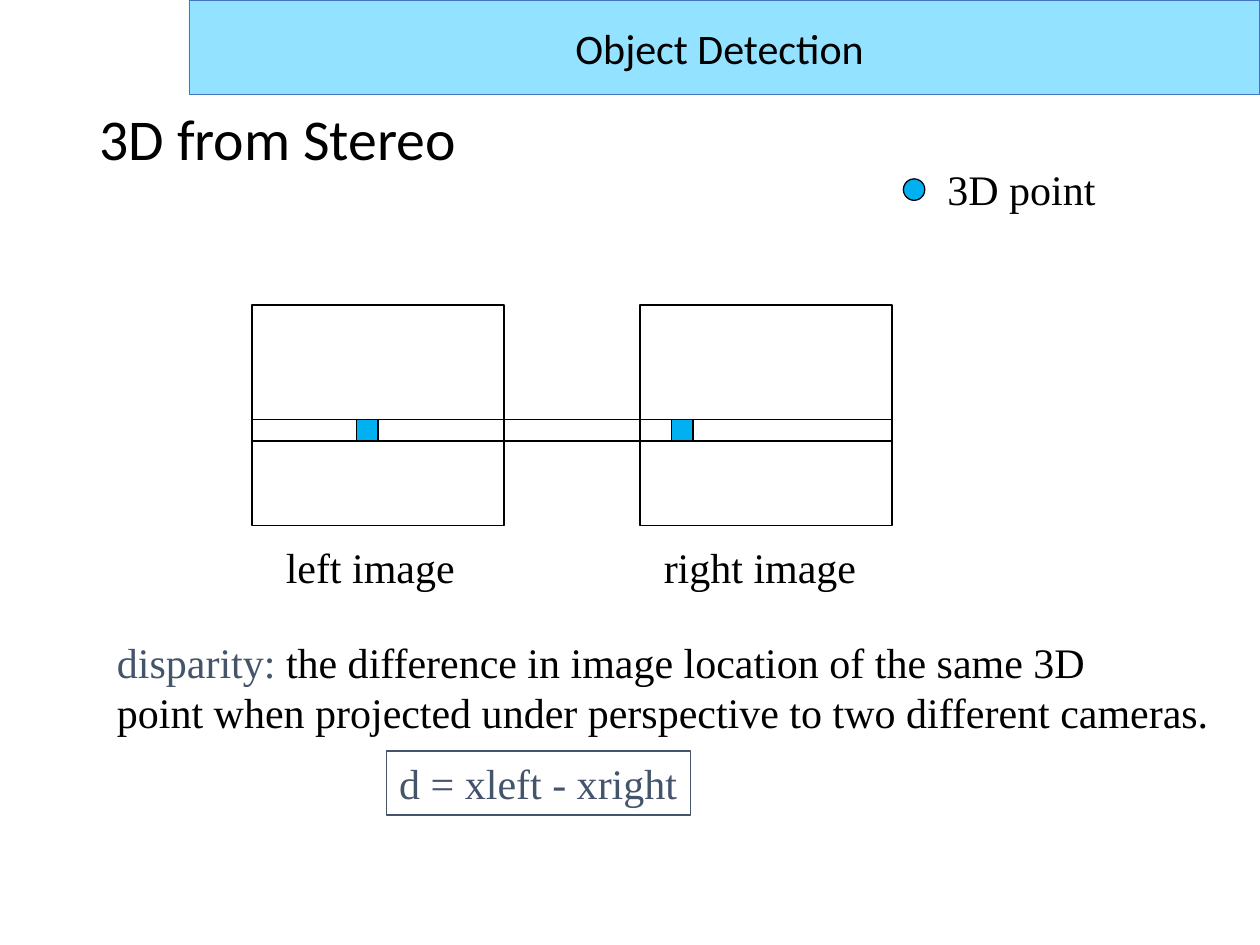
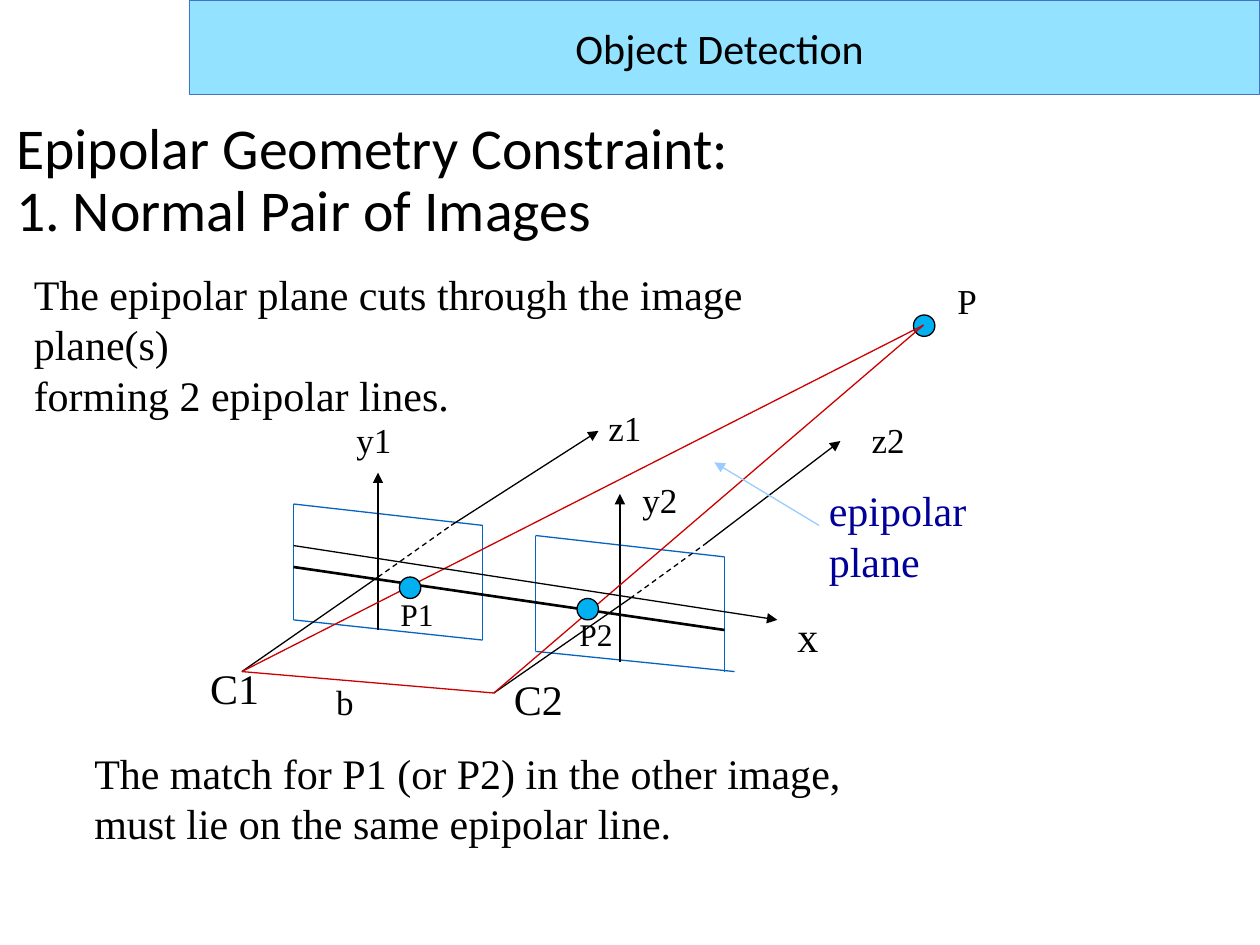
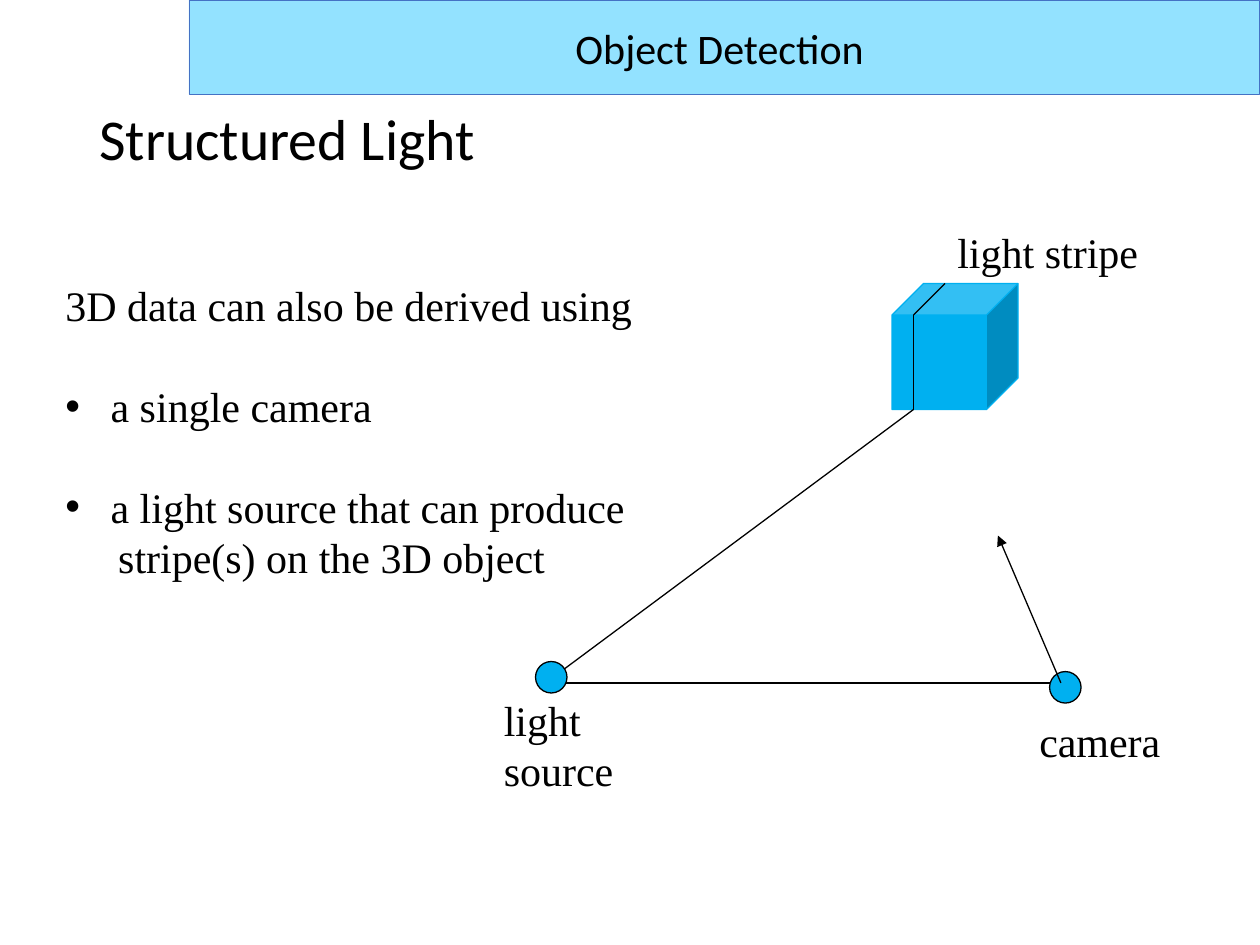
from dataclasses import dataclass

import pptx
import pptx.dml.color
import pptx.enum.dml
import pptx.enum.shapes
import pptx.enum.text
import pptx.oxml.ns
import pptx.presentation
import pptx.shapes.autoshape
import pptx.slide
import pptx.text.text
import pptx.util
from lxml import etree

Inches = pptx.util.Inches
Pt = pptx.util.Pt
Shapes = pptx.enum.shapes.MSO_SHAPE
Slide = pptx.slide.Slide
Point = tuple[float, float]


@dataclass(frozen=True)
class Theme:
    heading_font: str = "Calibri"
    body_font: str = "Times New Roman"
    black: str = "000000"
    slate: str = "44546A"
    navy: str = "000099"
    band: str = "93E2FF"
    band_edge: str = "4472C4"
    marker: str = "00B0F0"
    image_plane: str = "0563C1"
    ray: str = "CC0000"
    pointer: str = "99CCFF"
    title_size: float = 33
    body_size: float = 24
    axis_size: float = 20
    point_size: float = 18
    thin: float = 0.75


THEME = Theme()


@dataclass(frozen=True)
class Label:
    text: str
    left: float
    top: float
    width: float
    size: float = THEME.body_size
    color: str = THEME.black


@dataclass(frozen=True)
class Stroke:
    start: Point
    end: Point
    color: str = THEME.black
    weight: float = THEME.thin
    dashed: bool = False
    tail: bool = False
    head: bool = False


@dataclass(frozen=True)
class Figure:
    kind: Shapes
    left: float
    top: float
    width: float
    height: float
    fill: str | None = THEME.marker
    edge: str = THEME.black
    weight: float = THEME.thin


@dataclass(frozen=True)
class CameraView:
    top_left: Point
    top_right: Point
    bottom_left: Point
    bottom_right: Point
    bottom_end: Point
    center: Point
    crossing: Point
    exit: Point
    z_tip: Point
    y_foot: Point
    y_tip: Point


def rgb(value: str) -> pptx.dml.color.RGBColor:
    return pptx.dml.color.RGBColor.from_string(value)


def style(paragraph: pptx.text.text._Paragraph, font: str, size: float, color: str) -> None:
    for run in paragraph.runs:
        run.font.name = font
        run.font.size = Pt(size)
        run.font.color.rgb = rgb(color)


def draw_figure(slide: Slide, figure: Figure) -> pptx.shapes.autoshape.Shape:
    shape = slide.shapes.add_shape(
        figure.kind, Inches(figure.left), Inches(figure.top),
        Inches(figure.width), Inches(figure.height))
    shape.shadow.inherit = False
    if figure.fill is None:
        shape.fill.background()
    else:
        shape.fill.solid()
        shape.fill.fore_color.rgb = rgb(figure.fill)
    shape.line.color.rgb = rgb(figure.edge)
    shape.line.width = Pt(figure.weight)
    return shape


def draw_label(slide: Slide, label: Label) -> pptx.shapes.autoshape.Shape:
    lines = label.text.count("\n") + 1
    height = lines * label.size / 60 + 0.1
    box = slide.shapes.add_textbox(
        Inches(label.left), Inches(label.top), Inches(label.width), Inches(height))
    box.text_frame.word_wrap = True
    box.text_frame.text = label.text
    for paragraph in box.text_frame.paragraphs:
        style(paragraph, THEME.body_font, label.size, label.color)
    return box


def draw_stroke(slide: Slide, stroke: Stroke) -> None:
    connector = slide.shapes.add_connector(
        pptx.enum.shapes.MSO_CONNECTOR.STRAIGHT,
        *(Inches(value) for value in stroke.start + stroke.end))
    connector.line.color.rgb = rgb(stroke.color)
    connector.line.width = Pt(stroke.weight)
    if stroke.dashed:
        connector.line.dash_style = pptx.enum.dml.MSO_LINE.DASH
    outline = connector.line._get_or_add_ln()
    for tag, wanted in (("a:headEnd", stroke.head), ("a:tailEnd", stroke.tail)):
        if wanted:
            etree.SubElement(outline, pptx.oxml.ns.qn(tag), type="triangle")
    etree.SubElement(connector._element.spPr, pptx.oxml.ns.qn("a:effectLst"))


def draw_all(slide: Slide, items: list[Figure | Label | Stroke]) -> None:
    for item in items:
        if isinstance(item, Figure):
            draw_figure(slide, item)
        elif isinstance(item, Label):
            draw_label(slide, item)
        else:
            draw_stroke(slide, item)


def dot(left: float, top: float, size: float = 0.17) -> Figure:
    return Figure(Shapes.OVAL, left, top, size, size)


def start_slide(deck: pptx.presentation.Presentation, title: str, left: float = 0.69,
                top: float = 0.4, width: float = 8.62, height: float = 1.45) -> Slide:
    slide = deck.slides.add_slide(deck.slide_layouts[6])
    heading = slide.shapes.add_textbox(
        Inches(left), Inches(top), Inches(width), Inches(height)).text_frame
    heading.word_wrap = True
    heading.vertical_anchor = pptx.enum.text.MSO_ANCHOR.MIDDLE
    heading.text = title
    for paragraph in heading.paragraphs:
        paragraph.line_spacing = 0.9
        style(paragraph, THEME.heading_font, THEME.title_size, THEME.black)

    band = draw_figure(slide, Figure(
        Shapes.RECTANGLE, 1.5, 0, 8.5, 0.75, THEME.band, THEME.band_edge, 0.5)).text_frame
    band.vertical_anchor = pptx.enum.text.MSO_ANCHOR.MIDDLE
    band.text = "Object Detection "
    band.paragraphs[0].alignment = pptx.enum.text.PP_ALIGN.CENTER
    style(band.paragraphs[0], THEME.heading_font, THEME.body_size, THEME.black)
    return slide


def build_stereo(deck: pptx.presentation.Presentation) -> None:
    slide = start_slide(deck, "3D from Stereo")
    image_lefts = (2, 5.08)
    draw_all(slide, [
        *(Figure(Shapes.RECTANGLE, left, 2.42, 2, 1.75, None) for left in image_lefts),
        *(Figure(Shapes.RECTANGLE, left, 3.33, 0.17, 0.17) for left in (2.83, 5.33)),
        *(Stroke((2, y), (7.08, y)) for y in (3.33, 3.5)),
        dot(7.17, 1.42),
        Label("left image", 2.17, 4.25, 1.7),
        Label("right image", 5.17, 4.25, 1.9),
        Label("3D point", 7.42, 1.25, 1.5),
    ])

    term = "disparity:"
    definition = draw_label(slide, Label(
        f"{term}\npoint when projected under perspective to two different cameras.",
        0.83, 5, 9.1)).text_frame.paragraphs[0]
    definition.add_run().text = " the difference in image location of the same 3D"
    style(definition, THEME.body_font, THEME.body_size, THEME.black)
    definition.runs[0].font.color.rgb = rgb(THEME.slate)

    formula = draw_label(slide, Label("d = xleft - xright", 3.07, 5.96, 2.41, color=THEME.slate))
    formula.height = Inches(0.51)
    formula.line.color.rgb = rgb(THEME.slate)
    formula.line.width = Pt(THEME.thin)


def draw_camera_view(slide: Slide, view: CameraView) -> None:
    plane_edges = (
        (view.top_left, view.bottom_left),
        (view.top_left, view.top_right),
        (view.top_right, view.bottom_right),
        (view.bottom_left, view.bottom_end),
    )
    draw_all(slide, [
        *(Stroke(start, end, THEME.image_plane) for start, end in plane_edges),
        Stroke(view.center, view.crossing),
        Stroke(view.crossing, view.exit, dashed=True),
        Stroke(view.exit, view.z_tip, tail=True),
        Stroke(view.y_foot, view.y_tip, tail=True),
    ])


def build_epipolar(deck: pptx.presentation.Presentation) -> None:
    slide = start_slide(
        deck, "Epipolar Geometry Constraint:\n1. Normal Pair of Images", 0.03, 0.66, 9.45, 1.57)
    first = CameraView(
        top_left=(2.33, 4), top_right=(3.83, 4.17), bottom_left=(2.33, 4.92),
        bottom_right=(3.83, 5.08), bottom_end=(3.83, 5.08), center=(1.92, 5.33),
        crossing=(3, 4.58), exit=(3.58, 4.17), z_tip=(4.75, 3.42),
        y_foot=(3, 5), y_tip=(3, 3.75))
    second = CameraView(
        top_left=(4.25, 4.25), top_right=(5.75, 4.42), bottom_left=(4.25, 5.17),
        bottom_right=(5.75, 5.33), bottom_end=(5.83, 5.33), center=(3.92, 5.5),
        crossing=(5, 4.75), exit=(5.58, 4.33), z_tip=(6.67, 3.5),
        y_foot=(4.92, 5.25), y_tip=(4.92, 3.92))
    scene_point = (7.33, 2.58)
    epipolar_triangle = (
        (scene_point, first.center), (scene_point, second.center), (first.center, second.center))

    draw_figure(slide, dot(7.25, 2.5))
    for view in (first, second):
        draw_camera_view(slide, view)
    draw_all(slide, [
        *(Stroke(start, end, THEME.ray) for start, end in epipolar_triangle),
        Stroke((2.33, 4.33), (6.17, 4.92), tail=True),
        Stroke((2.33, 4.5), (5.75, 5), weight=1.5),
        dot(3.17, 4.58),
        dot(4.58, 4.75),
        Stroke((6.5, 4.17), (5.67, 3.67), THEME.pointer, tail=True),
        Label("x", 6.23, 4.8, 0.45),
        Label("y1", 2.73, 3.27, 0.55, THEME.axis_size),
        Label("y2", 5, 3.75, 0.55, THEME.axis_size),
        Label("z1", 4.73, 3.18, 0.55, THEME.axis_size),
        Label("z2", 6.82, 3.27, 0.55, THEME.axis_size),
        Label("C1", 1.57, 5.21, 0.65),
        Label("C2", 3.98, 5.3, 0.65),
        Label("b", 2.57, 5.35, 0.4, THEME.axis_size),
        Label("P", 7.5, 2.17, 0.4, THEME.axis_size),
        Label("P1", 3.08, 4.67, 0.55, THEME.point_size),
        Label("P2", 4.5, 4.83, 0.55, THEME.point_size),
        Label("epipolar\nplane", 6.48, 3.8, 1.4, color=THEME.navy),
        Label("The epipolar plane cuts through the image plane(s)\nforming 2 epipolar lines.",
              0.17, 2.08, 6.5),
        Label("The match for P1 (or P2) in the other image,\nmust lie on the same epipolar line.",
              0.65, 5.88, 6.4),
    ])


def indent(paragraph: pptx.text.text._Paragraph, margin: float, bullet: bool) -> None:
    properties = paragraph._p.get_or_add_pPr()
    properties.set("marL", str(Inches(margin)))
    properties.set("indent", str(-Inches(margin) if bullet else 0))
    if bullet:
        etree.SubElement(properties, pptx.oxml.ns.qn("a:buFont"), typeface="Arial")
        etree.SubElement(properties, pptx.oxml.ns.qn("a:buChar"), char="•")


def build_structured_light(deck: pptx.presentation.Presentation) -> None:
    slide = start_slide(deck, "Structured Light")
    requirements = draw_label(slide, Label(
        "3D data can also be derived using\na single camera\n"
        "a light source that can produce\nstripe(s) on the 3D object", 0.42, 2.17, 4.9))
    _, camera, source, continuation = requirements.text_frame.paragraphs
    for item in (camera, source):
        indent(item, 0.36, True)
        item.space_before = Pt(28.8)
    indent(continuation, 0.42, False)

    light, lens = (4.33, 5.42), (8.5, 5.42)
    stripe = ((7.25, 3.25), (7.25, 2.5), (7.5, 2.25))
    draw_all(slide, [
        Figure(Shapes.CUBE, 7.08, 2.25, 1, 1, edge=THEME.marker),
        Stroke(light, lens, head=True, tail=True),
        *(Stroke(start, end) for start, end in zip((light, *stripe), stripe)),
        dot(4.25, 5.25, 0.25),
        dot(8.33, 5.33, 0.25),
        Stroke((8.42, 5.42), (7.92, 4.25), tail=True),
        Label("light\nsource", 3.9, 5.46, 1.2),
        Label("camera", 8.15, 5.63, 1.3),
        Label("light stripe", 7.5, 1.75, 1.8),
    ])


def main() -> None:
    deck = pptx.Presentation()
    deck.slide_width = Inches(10)
    deck.slide_height = Inches(7.5)
    build_stereo(deck)
    build_epipolar(deck)
    build_structured_light(deck)
    deck.save("out.pptx")


if __name__ == "__main__":
    main()
